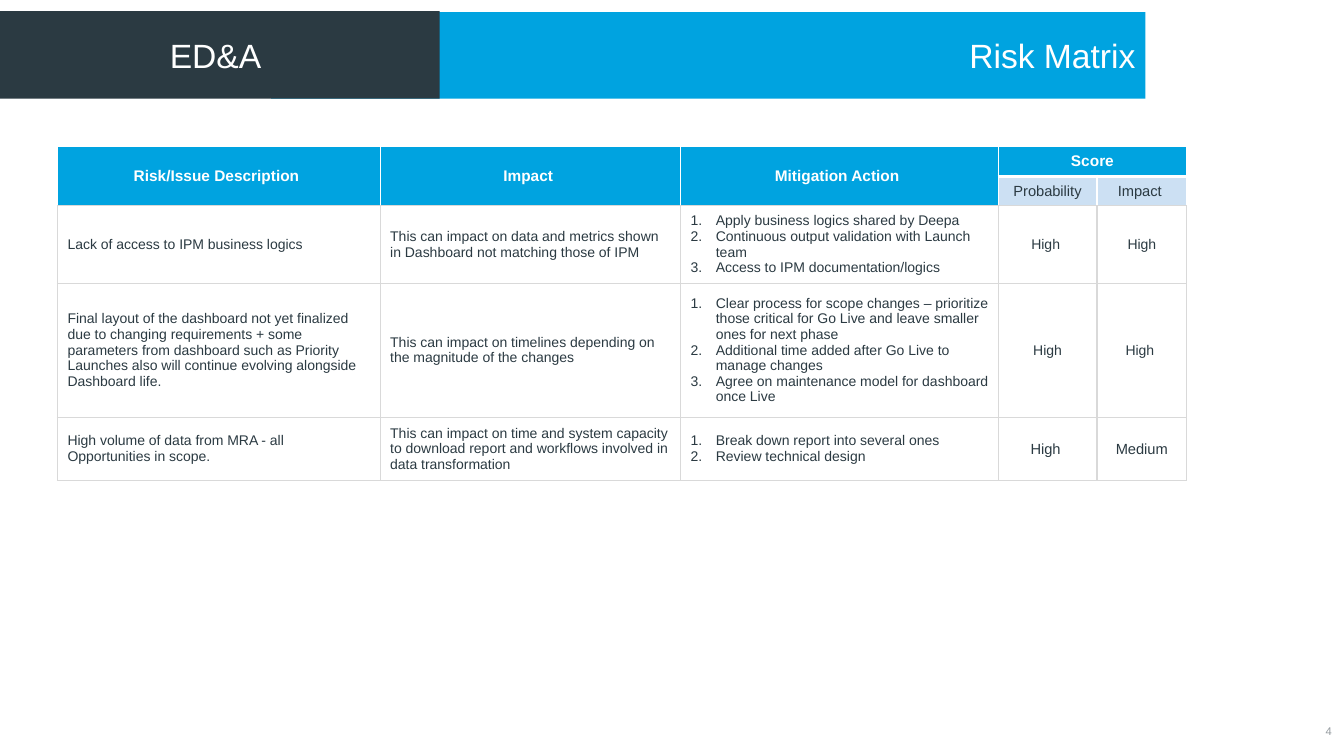
from dataclasses import dataclass

from lxml import etree
from pptx import Presentation
from pptx.dml.color import RGBColor
from pptx.enum.shapes import MSO_SHAPE
from pptx.enum.text import MSO_ANCHOR, PP_ALIGN
from pptx.oxml.ns import qn
from pptx.util import Inches, Pt

RECTANGLE = MSO_SHAPE.RECTANGLE
MIDDLE = MSO_ANCHOR.MIDDLE
LEFT, CENTER, RIGHT = PP_ALIGN.LEFT, PP_ALIGN.CENTER, PP_ALIGN.RIGHT


@dataclass(frozen=True)
class Theme:
    """Colours, font and type sizes of the slide."""
    font: str = "Arial"
    blue: str = "00A3E0"
    dark: str = "2B3A42"
    pale: str = "CCE0F3"
    white: str = "FFFFFF"
    rule: str = "D9D9D9"
    muted: str = "959CA0"
    title: float = 24
    header: float = 11
    subheader: float = 10.5
    body: float = 10
    footer: float = 8


THEME = Theme()
COLUMN_WIDTHS = [3.2, 2.98, 3.15, 0.98, 0.89]
ROW_HEIGHTS = [0.3, 0.29, 0.77, 1.33, 0.63]
HEADINGS = ["Risk/Issue Description ", "Impact ", "Mitigation Action ", "Score"]
SCORE_HEADINGS = ["Probability", "Impact "]
RISKS = [
    ("Lack of access to IPM business logics",
     "This can impact on data and metrics shown in Dashboard not matching those of IPM",
     ["Apply business logics shared by Deepa",
      "Continuous output validation with Launch team",
      "Access to IPM documentation/logics"],
     "High ", "High", THEME.body),
    ("Final layout of the dashboard not yet finalized due to changing requirements + some "
     "parameters from dashboard such as Priority Launches also will continue evolving "
     "alongside Dashboard life.",
     "This can impact on timelines depending on the magnitude of the changes",
     ["Clear process for scope changes – prioritize those critical for Go Live and leave "
      "smaller ones for next phase",
      "Additional time added after Go Live to manage changes",
      "Agree on maintenance model for dashboard once Live"],
     "High", "High ", THEME.body),
    ("High volume of data from MRA - all Opportunities in scope.",
     "This can impact on time and system capacity to download report and workflows "
     "involved in data transformation",
     ["Break down report into several ones", "Review technical design"],
     "High ", "Medium", THEME.subheader),
]


def write(text_frame, lines, size, color, align=LEFT, bold=False, numbered=False):
    """Fill a text frame with one paragraph per line."""
    for index, line in enumerate(lines):
        paragraph = text_frame.add_paragraph() if index else text_frame.paragraphs[0]
        paragraph.alignment = align
        if numbered:
            properties = paragraph._p.get_or_add_pPr()
            properties.set("marL", str(Inches(0.25)))
            properties.set("indent", str(-Inches(0.25)))
            etree.SubElement(properties, qn("a:buFont"), typeface="+mj-lt")
            etree.SubElement(properties, qn("a:buAutoNum"), type="arabicPeriod")
        run = paragraph.add_run()
        run.text = line
        run.font.name = THEME.font
        run.font.size = Pt(size)
        run.font.bold = bold
        run.font.color.rgb = RGBColor.from_string(color)


def add_band(slide, box, text, fill, align, wrap):
    """Draw one filled title band with its text."""
    band = slide.shapes.add_shape(RECTANGLE, *map(Inches, box))
    band.shadow.inherit = False
    band.fill.solid()
    band.fill.fore_color.rgb = RGBColor.from_string(fill)
    band.line.fill.background()
    band.text_frame.word_wrap = wrap
    band.text_frame.vertical_anchor = MIDDLE
    write(band.text_frame, [text], THEME.title, THEME.white, align)


def add_title(slide, left, top):
    """Draw the title bar with the team tab over its left end."""
    add_band(slide, (left + 2.7, top + 0.01, 8.67, 0.86), "Risk Matrix",
             THEME.blue, RIGHT, False)
    add_band(slide, (left, top, 4.37, 0.87), "ED&A ", THEME.dark, CENTER, True)


def add_page_number(slide, box, number):
    """Write the page number in the corner."""
    frame = slide.shapes.add_textbox(*map(Inches, box)).text_frame
    frame.margin_left = frame.margin_right = frame.margin_top = frame.margin_bottom = 0
    frame.word_wrap = True
    frame.vertical_anchor = MIDDLE
    write(frame, [number], THEME.footer, THEME.muted, RIGHT)


def style_cell(cell, side_color, bottom_color, bottom_width=1, fill=None):
    """Set the borders, fill and anchor of a table cell."""
    properties = cell._tc.get_or_add_tcPr()
    borders = [("a:lnL", side_color, 1), ("a:lnR", side_color, 1),
               ("a:lnT", side_color, 1), ("a:lnB", bottom_color, bottom_width)]
    for tag, color, width in borders:
        line = etree.SubElement(properties, qn(tag), w=str(Pt(width)))
        solid = etree.SubElement(line, qn("a:solidFill"))
        etree.SubElement(solid, qn("a:srgbClr"), val=color)
    if fill:
        cell.fill.solid()
        cell.fill.fore_color.rgb = RGBColor.from_string(fill)
    else:
        cell.fill.background()
    cell.vertical_anchor = MIDDLE


def fill_header(table):
    """Write the two header rows and merge their spanning cells."""
    for column in range(len(COLUMN_WIDTHS)):
        is_score = column >= 3
        style_cell(table.cell(0, column), THEME.white,
                   THEME.white if is_score else THEME.rule, 3 if is_score else 1, THEME.blue)
        style_cell(table.cell(1, column), THEME.white, THEME.rule,
                   fill=THEME.pale if is_score else THEME.blue)
    for column, heading in enumerate(HEADINGS):
        cell = table.cell(0, column)
        cell.merge(table.cell(0, 4) if column == 3 else table.cell(1, column))
        write(cell.text_frame, [heading], THEME.header, THEME.white, CENTER, bold=True)
    for column, heading in enumerate(SCORE_HEADINGS, 3):
        write(table.cell(1, column).text_frame, [heading], THEME.subheader, THEME.dark, CENTER)


def fill_risk(table, row, risk):
    """Write one risk across a body row."""
    *contents, score_size = risk
    for column, content in enumerate(contents):
        cell = table.cell(row, column)
        style_cell(cell, THEME.rule, THEME.rule)
        numbered = isinstance(content, list)
        is_score = column >= 3
        write(cell.text_frame, content if numbered else [content],
              score_size if is_score else THEME.body, THEME.dark,
              CENTER if is_score else LEFT, numbered=numbered)


def add_risk_table(slide, left, top):
    """Place the risk matrix table."""
    table = slide.shapes.add_table(
        len(ROW_HEIGHTS), len(COLUMN_WIDTHS), Inches(left), Inches(top),
        Inches(sum(COLUMN_WIDTHS)), Inches(sum(ROW_HEIGHTS))).table
    table.first_row = table.horz_banding = False
    for column, width in zip(table.columns, COLUMN_WIDTHS):
        column.width = Inches(width)
    for row, height in zip(table.rows, ROW_HEIGHTS):
        row.height = Inches(height)
    fill_header(table)
    for row, risk in enumerate(RISKS, 2):
        fill_risk(table, row, risk)


def main():
    """Build and save the risk matrix slide."""
    presentation = Presentation()
    presentation.slide_width = Inches(13.33)
    presentation.slide_height = Inches(7.5)
    slide = presentation.slides.add_slide(presentation.slide_layouts[6])
    add_page_number(slide, (12.82, 7.16, 0.39, 0.19), "4")
    add_title(slide, -0.01, 0.11)
    add_risk_table(slide, 0.57, 1.45)
    presentation.save("out.pptx")


if __name__ == "__main__":
    main()
